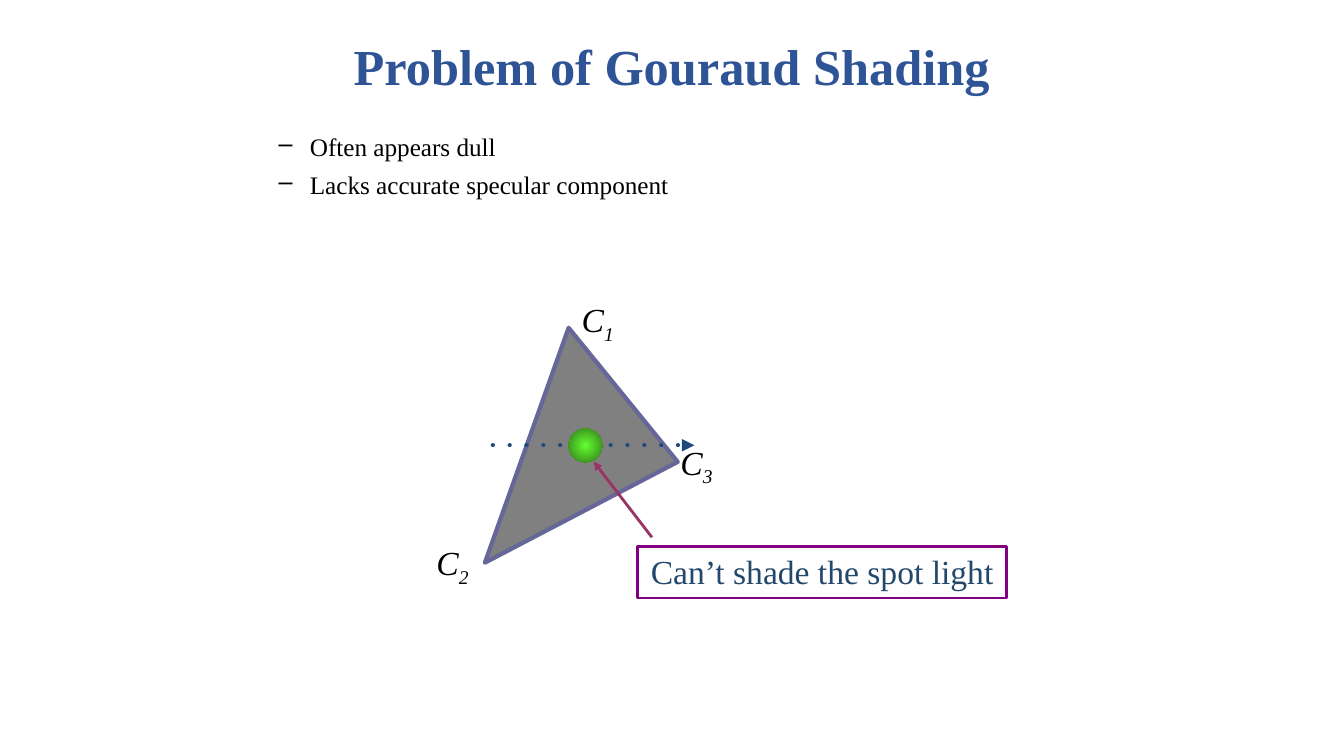
from pptx import Presentation
from pptx.dml.color import RGBColor
from pptx.enum.shapes import MSO_CONNECTOR, MSO_SHAPE
from pptx.enum.text import MSO_ANCHOR, PP_ALIGN
from pptx.oxml.ns import qn
from pptx.util import Cm, Pt
from lxml.etree import SubElement

FONT = "Times New Roman"
BLACK = RGBColor(0x00, 0x00, 0x00)
BLUE = RGBColor(0x2E, 0x54, 0x96)
NAVY = RGBColor(0x1F, 0x49, 0x7D)
STEEL = RGBColor(0x24, 0x48, 0x6C)
GREY = RGBColor(0x80, 0x80, 0x80)
SLATE = RGBColor(0x66, 0x66, 0x99)
PLUM = RGBColor(0x99, 0x33, 0x66)
PURPLE = RGBColor(0x80, 0x00, 0x80)
LIME = RGBColor(0x66, 0xFF, 0x33)
GREEN = RGBColor(0x2F, 0x76, 0x18)


def add_run(para, text, size, color, bold=False, italic=False):
    """Add one styled run and return it."""
    run = para.add_run()
    run.text = text
    font = run.font
    font.name, font.size, font.bold, font.italic = FONT, Pt(size), bold, italic
    font.color.rgb = color
    return run


def add_box(shapes, x, y, width, height, wrap=True):
    """Add an empty text box, in cm."""
    box = shapes.add_textbox(Cm(x), Cm(y), Cm(width), Cm(height))
    box.text_frame.word_wrap = wrap
    return box


def add_title(shapes, text):
    """Add the centred slide title."""
    frame = add_box(shapes, 5.5, 0.76, 22.86, 1.78).text_frame
    frame.vertical_anchor = MSO_ANCHOR.MIDDLE
    para = frame.paragraphs[0]
    para.alignment = PP_ALIGN.CENTER
    add_run(para, text, 36, BLUE, bold=True)


def add_list(shapes, items):
    """Add the dashed list."""
    frame = add_box(shapes, 5.5, 3.18, 22.86, 13.2).text_frame
    for i, item in enumerate(items):
        para = frame.add_paragraph() if i else frame.paragraphs[0]
        para.space_before = Pt(5.6 if i else 0)
        props = para._p.get_or_add_pPr()
        props.set("marL", str(Cm(2.06)))
        props.set("indent", str(Cm(-0.79)))
        SubElement(props, qn("a:buChar"), char="–")
        add_run(para, item, 18, BLACK)


def add_label(shapes, x, y, index):
    """Name a corner with C and a subscript."""
    box = add_box(shapes, x, y, 1.37, 1.27, wrap=False)
    para = box.text_frame.paragraphs[0]
    para.alignment = PP_ALIGN.CENTER
    add_run(para, "C", 24, BLACK, italic=True)
    sub = add_run(para, index, 24, BLACK, italic=True)
    sub._r.get_or_add_rPr().set("baseline", "-25000")


def add_face(shapes, points):
    """Draw the filled triangle through the points."""
    start, *rest = [(Cm(x), Cm(y)) for x, y in points]
    pen = shapes.build_freeform(*start)
    pen.add_line_segments(rest, close=True)
    face = pen.convert_to_shape()
    face.shadow.inherit = False
    face.fill.solid()
    face.fill.fore_color.rgb = GREY
    face.line.color.rgb = SLATE
    face.line.width = Pt(3)
    SubElement(face._element.spPr.find(qn("a:ln")), qn("a:round"))


def add_arrow(shapes, start, end, color, width, dotted=False):
    """Draw a straight arrow from start to end."""
    ends = [Cm(v) for v in (*start, *end)]
    arrow = shapes.add_connector(MSO_CONNECTOR.STRAIGHT, *ends)
    arrow.line.color.rgb = color
    arrow.line.width = Pt(width)
    props = arrow._element.spPr
    line = props.find(qn("a:ln"))
    if dotted:
        line.set("cap", "rnd")
        SubElement(line, qn("a:prstDash"), val="dot")
    SubElement(line, qn("a:round"))
    SubElement(line, qn("a:tailEnd"), type="triangle")
    SubElement(props, qn("a:effectLst"))


def add_spot(shapes, x, y, size):
    """Draw the light spot with a radial gradient."""
    spot = shapes.add_shape(MSO_SHAPE.OVAL, Cm(x), Cm(y), Cm(size), Cm(size))
    props = spot._element.spPr
    grad = SubElement(props, qn("a:gradFill"), rotWithShape="1")
    stops = SubElement(grad, qn("a:gsLst"))
    for pos, color in ((0, LIME), (100000, GREEN)):
        stop = SubElement(stops, qn("a:gs"), pos=str(pos))
        SubElement(stop, qn("a:srgbClr"), val=str(color))
    circle = SubElement(grad, qn("a:path"), path="circle")
    sides = {side: "50000" for side in "ltrb"}
    SubElement(circle, qn("a:fillToRect"), **sides)
    spot.line.fill.background()
    spot.shadow.inherit = False


def add_note(shapes, text):
    """Add the framed remark."""
    box = add_box(shapes, 16.07, 13.77, 9.3, 1.3, wrap=False)
    box.left, box.width = Cm(16.07), Cm(9.3)
    box.line.color.rgb = PURPLE
    box.line.width = Pt(2)
    para = box.text_frame.paragraphs[0]
    para.alignment = PP_ALIGN.CENTER
    add_run(para, text, 24, STEEL)


def main():
    """Build and save the slide."""
    deck = Presentation()
    deck.slide_width, deck.slide_height = Cm(33.87), Cm(19.05)
    slide = deck.slides.add_slide(deck.slide_layouts[6])
    add_title(slide.shapes, "Problem of Gouraud Shading")
    add_list(slide.shapes, ["Often appears dull", "Lacks accurate specular component"])

    scene = slide.shapes.add_group_shape().shapes
    add_face(scene, [(12.22, 14.18), (14.33, 8.26), (17.08, 11.64)])
    corners = [(14.38, 7.42), (10.72, 13.54), (16.87, 11.0)]
    for index, (x, y) in enumerate(corners, 1):
        add_label(scene, x, y, str(index))
    add_arrow(scene, (12.42, 11.22), (17.5, 11.22), NAVY, 3, dotted=True)
    add_spot(scene, 14.33, 10.8, 0.85)
    add_arrow(scene, (16.43, 13.54), (14.96, 11.63), PLUM, 2)
    add_note(scene, "Can’t shade the spot light")
    deck.save("out.pptx")


main()
